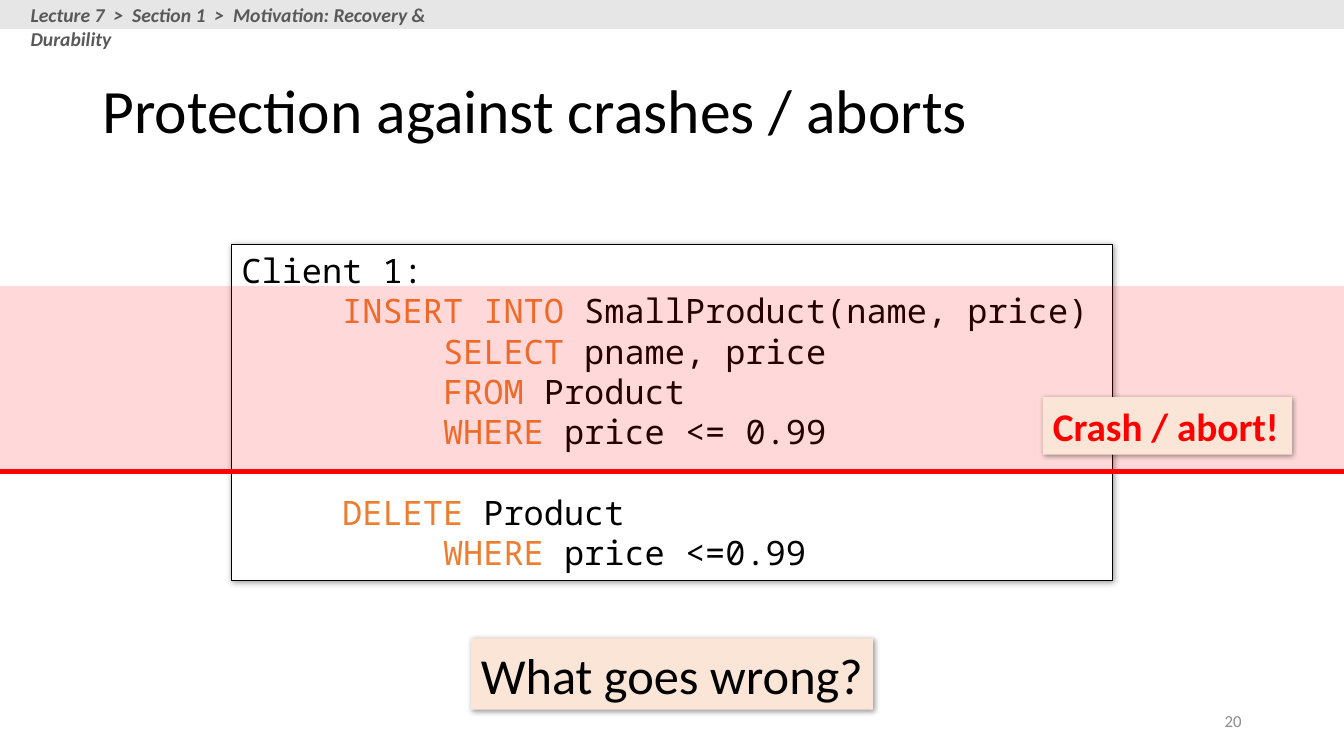
from lxml import etree
from pptx import Presentation
from pptx.dml.color import RGBColor
from pptx.enum.shapes import MSO_CONNECTOR, MSO_SHAPE
from pptx.enum.text import MSO_ANCHOR, PP_ALIGN
from pptx.oxml.ns import qn
from pptx.util import Pt

COLORS = {"black": "000000", "white": "FFFFFF", "red": "FF0000", "orange": "ED7D31",
          "peach": "FBE5D6", "bar": "E7E6E6", "crumb": "595959", "number": "8C8C8C"}
W, H = 960, 540

prs = Presentation()
prs.slide_width, prs.slide_height = Pt(W), Pt(H)
s = prs.slides.add_slide(prs.slide_layouts[6])


def add_box(x, y, w, h, fill=None, line=None, shadow=False):
    """Add a rectangle, optionally filled, outlined and shadowed."""
    sp = s.shapes.add_shape(MSO_SHAPE.RECTANGLE, Pt(x), Pt(y), Pt(w), Pt(h))
    sp.shadow.inherit = False
    for part, color in ((sp.fill, fill), (sp.line.fill, line)):
        if color:
            part.solid()
            part.fore_color.rgb = RGBColor.from_string(COLORS[color])
        else:
            part.background()
    if line:
        sp.line.width = Pt(0.75)
    if shadow:
        effects = sp._element.spPr.find(qn("a:effectLst"))
        outer = etree.SubElement(effects, qn("a:outerShdw"), blurRad=str(Pt(4)),
                                 dist=str(Pt(1)), dir="2700000", algn="tl", rotWithShape="0")
        black = etree.SubElement(outer, qn("a:srgbClr"), val=COLORS["black"])
        etree.SubElement(black, qn("a:alpha"), val="40000")
    return sp


def write(sp, lines, color="black", anchor=MSO_ANCHOR.TOP, align=PP_ALIGN.LEFT, wrap=True,
          **font):
    """Fill a shape with lines, each a list of (text, color or None) runs."""
    tf = sp.text_frame
    tf.word_wrap, tf.vertical_anchor = wrap, anchor
    for i, runs in enumerate(lines):
        p = tf.add_paragraph() if i else tf.paragraphs[0]
        p.alignment = align
        for text, run_color in runs:
            r = p.add_run()
            r.text = text
            for name, value in font.items():
                setattr(r.font, name, value)
            r.font.color.rgb = RGBColor.from_string(COLORS[run_color or color])
    return tf


# Slide number and title
sp = s.shapes.add_textbox(Pt(678), Pt(500.5), Pt(216), Pt(28.75))
write(sp, [[("20", None)]], "number", MSO_ANCHOR.MIDDLE, PP_ALIGN.RIGHT,
      name="Calibri", size=Pt(12))
sp = s.shapes.add_textbox(Pt(66), Pt(28.75), Pt(828), Pt(104.4))
tf = write(sp, [[("Protection against crashes / aborts", None)]], anchor=MSO_ANCHOR.MIDDLE,
           name="Calibri", size=Pt(44))
tf.paragraphs[0].line_spacing = 0.9

# Code listing: indent level, keyword, rest of the line
code = [(0, "", "Client 1:"),
        (1, "INSERT INTO", " SmallProduct(name, price)"),
        (2, "SELECT", " pname, price"),
        (2, "FROM", " Product"),
        (2, "WHERE", " price <= 0.99"),
        (1, "DELETE", " Product"),
        (2, "WHERE", " price <=0.99")]
sp = add_box(165.4, 175, 629.3, 239.8, "white", "black", shadow=True)
lines = [[(text, color) for text, color in ((keyword, "orange"), (rest, None)) if text]
         for level, keyword, rest in code]
tf = write(sp, lines, name="Noto Sans Mono", size=Pt(24))
for p, (level, keyword, rest) in zip(tf.paragraphs, code):
    p._p.get_or_add_pPr().set("marL", str(Pt(72 * level)))
    if keyword == "DELETE":
        p.space_before = Pt(28.8)

# Question below the code
sp = add_box(336.4, 456, 287.2, 50.9, "peach", shadow=True)
write(sp, [[("What goes wrong?", None)]], "black", MSO_ANCHOR.MIDDLE, PP_ALIGN.CENTER, False,
      name="Calibri", size=Pt(36))

# Crash line with the translucent band above it
crash_y, band_h = 336.8, 132.4
cn = s.shapes.add_connector(MSO_CONNECTOR.STRAIGHT, 0, Pt(crash_y), Pt(W), Pt(crash_y))
cn.line.color.rgb = RGBColor.from_string(COLORS["red"])
cn.line.width = Pt(3.5)
etree.SubElement(cn._element.spPr, qn("a:effectLst"))
band = add_box(0, crash_y - band_h, W, band_h, "red")
fill_color = band._element.spPr.find(qn("a:solidFill")).find(qn("a:srgbClr"))
etree.SubElement(fill_color, qn("a:alpha"), val="15000")

# Crash label
sp = add_box(745, 283.6, 178, 41.2, "peach", shadow=True)
write(sp, [[("Crash / abort!", None)]], "red", wrap=False,
      name="Calibri", size=Pt(28), bold=True)

# Breadcrumb bar
add_box(0, 0, W, 20.75, "bar")
sp = s.shapes.add_textbox(Pt(14.8), Pt(-1.4), Pt(354), Pt(24.2))
write(sp, [[("Lecture 7  >  Section 1  >  Motivation: Recovery & Durability", None)]], "crumb",
      name="Calibri", size=Pt(14), bold=True, italic=True)

prs.save("out.pptx")
